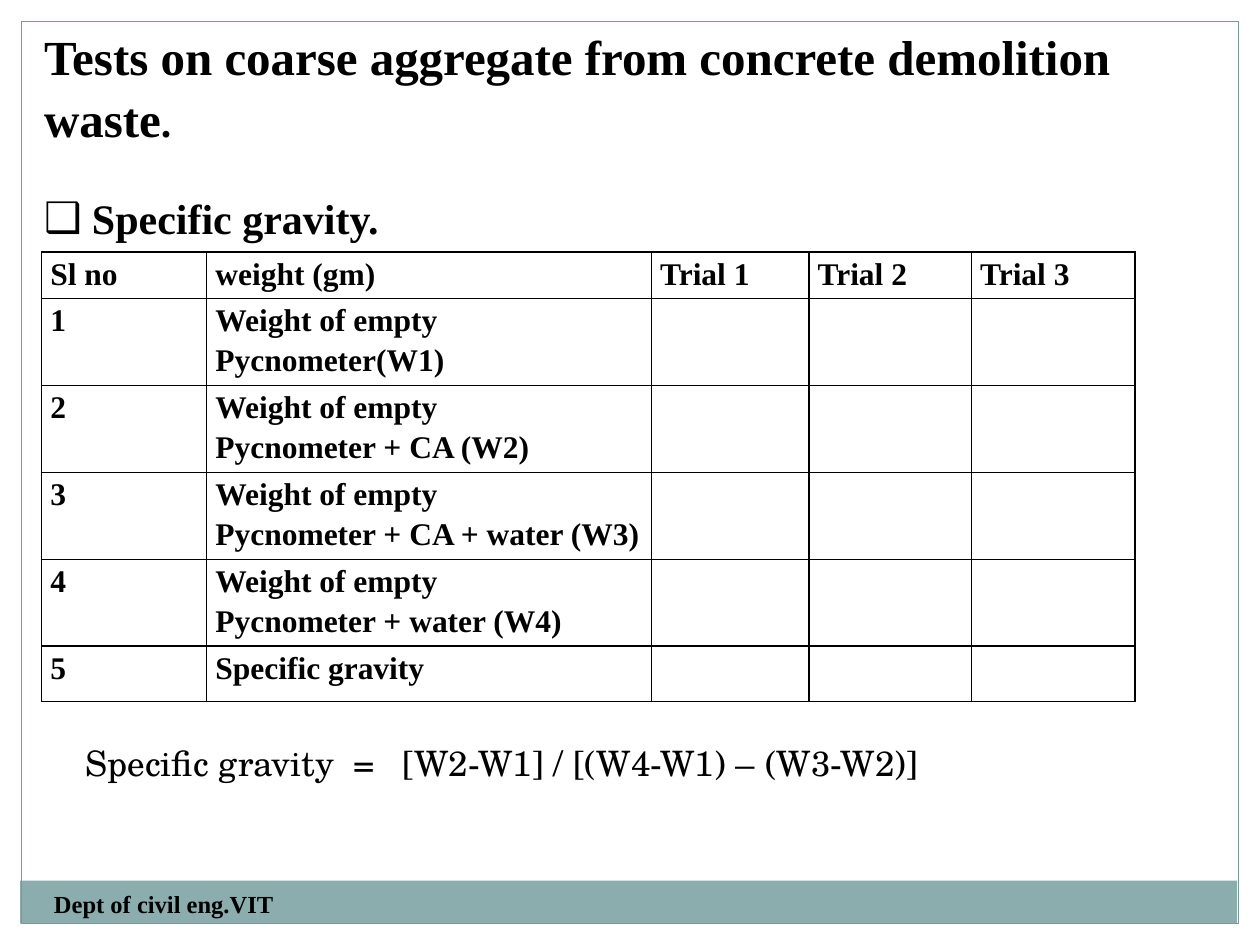
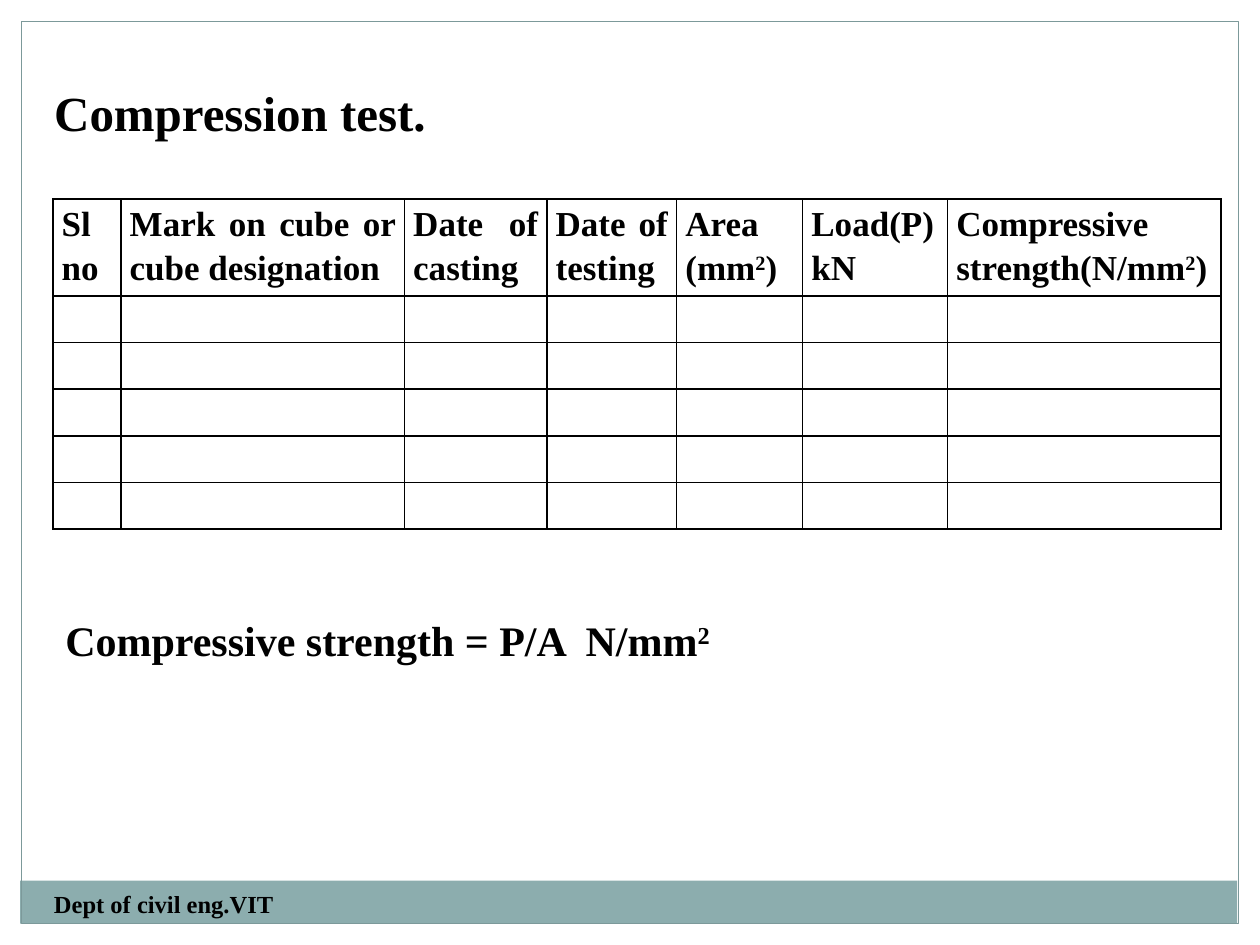
"""Build two slides of laboratory test tables for recycled concrete aggregate."""
import lxml.etree
import pptx
import pptx.dml.color
import pptx.enum.shapes
import pptx.enum.text
import pptx.oxml
import pptx.oxml.ns
import pptx.util

Inches = pptx.util.Inches
Anchor = pptx.enum.text.MSO_ANCHOR
Align = pptx.enum.text.PP_ALIGN
qn = pptx.oxml.ns.qn

SERIF = "Times New Roman"
SCHOLA = "TeX Gyre Schola"
BLACK, WHITE, TEAL, FRAME_LINE = "000000", "FFFFFF", "8CADAE", "7C999A"


def rgb(value):
    """Turn a hex string into a colour."""
    return pptx.dml.color.RGBColor.from_string(value)


def write(paragraph, text, size, font=SERIF, bold=True):
    """Add runs to a paragraph; parts between carets are superscript."""
    for index, part in enumerate(text.split("^")):
        if not part:
            continue
        run = paragraph.add_run()
        run.text = part
        run.font.name = font
        run.font.size = pptx.util.Pt(size)
        run.font.bold = bold
        run.font.color.rgb = rgb(BLACK)
        if index % 2:
            run.font._element.set("baseline", "30000")


tests = [
    {
        "layout": 1,
        "title": [("Tests on coarse aggregate from concrete demolition waste", 28), (".", 24)],
        "title_box": (0.25, 0.14, 9.17, 1.1),
        "title_anchor": Anchor.TOP,
        "subtitle": "Specific gravity.",
        "table_at": (0.33, 2),
        "columns": [1.31, 3.53, 1.25, 1.29, 1.3],
        "rows": [0.37] + [0.69] * 4 + [0.44],
        "size": 18,
        "cells": [
            ["Sl no", "weight (gm)", "Trial 1", "Trial 2", "Trial 3"],
            ["1", "Weight of empty\nPycnometer(W1)"],
            ["2", "Weight of empty\nPycnometer + CA (W2)"],
            ["3", "Weight of empty\nPycnometer + CA + water (W3)"],
            ["4", "Weight of empty\nPycnometer + water (W4)"],
            ["5", "Specific gravity"],
        ],
        "formula": ("Specific gravity\t=\t[W2-W1] / [(W4-W1) – (W3-W2)]", 20, SCHOLA, False),
        "formula_box": (0.58, 5.83, 7.5, 0.44),
        "formula_tabs": [2.13, 2.52],
    },
    {
        "layout": 5,
        "title": [("Compression test.", 28)],
        "title_box": (0.33, 0.59, 7.75, 0.57),
        "title_anchor": Anchor.MIDDLE,
        "subtitle": None,
        "table_at": (0.42, 1.58),
        "columns": [0.54, 2.25, 1.13, 1.03, 1, 1.15, 2.17],
        "rows": [0.77] + [0.37] * 5,
        "size": 20,
        "cells": [
            ["Sl no", "Mark on cube or cube designation", "Date of casting",
             "Date of testing", "Area\n(mm^2^)", "Load(P)\nkN",
             "Compressive strength(N/mm^2^)"],
        ],
        "formula": ("Compressive strength = P/A\tN/mm^2^", 24, SERIF, True),
        "formula_box": (0.42, 4.83, 7.67, 0.5),
        "formula_tabs": [4.13],
    },
]

prs = pptx.Presentation()
prs.slide_width, prs.slide_height = Inches(10), Inches(7.5)
slides = [prs.slides.add_slide(prs.slide_layouts[test["layout"]]) for test in tests]

master_tree = prs.slide_master.element.cSld.spTree
backdrop = [
    ((0, 0, 10, 0.17), WHITE, None),
    ((9.83, 0, 0.17, 7.5), WHITE, None),
    ((0, 0, 0.17, 7.5), WHITE, None),
    ((0.16, 6.99, 9.66, 0.34), TEAL, None),
    ((0.17, 0.17, 9.66, 7.16), None, FRAME_LINE),
]
for number, (box, fill, line) in enumerate(backdrop):
    band = slides[0].shapes.add_shape(
        pptx.enum.shapes.MSO_SHAPE.RECTANGLE, *map(Inches, box))
    band.shadow.inherit = False
    if fill:
        band.fill.solid()
        band.fill.fore_color.rgb = rgb(fill)
    else:
        band.fill.background()
    if line:
        band.line.color.rgb = rgb(line)
        band.line.width = pptx.util.Pt(0.75)
    else:
        band.line.fill.background()
    master_tree.insert(2 + number, band._element)

for slide, test in zip(slides, tests):
    title = slide.shapes.title
    title.left, title.top, title.width, title.height = map(Inches, test["title_box"])
    title.text_frame.auto_size = pptx.enum.text.MSO_AUTO_SIZE.NONE
    title.text_frame.vertical_anchor = test["title_anchor"]
    heading = title.text_frame.paragraphs[0]
    heading.alignment = Align.LEFT
    heading.line_spacing = 1.05
    for text, size in test["title"]:
        write(heading, text, size)

    if test["subtitle"]:
        subtitle = slide.placeholders[1]
        subtitle.left, subtitle.top = Inches(0.25), Inches(1.48)
        subtitle.width, subtitle.height = Inches(9.17), Inches(0.5)
        subtitle.text_frame.auto_size = pptx.enum.text.MSO_AUTO_SIZE.NONE
        item = subtitle.text_frame.paragraphs[0]
        item.space_before = pptx.util.Pt(0)
        properties = item._p.get_or_add_pPr()
        properties.set("marL", str(Inches(0.38)))
        properties.set("indent", str(-Inches(0.38)))
        lxml.etree.SubElement(properties, qn("a:buFont"), typeface="Arial")
        lxml.etree.SubElement(properties, qn("a:buChar"), char="❑")
        write(item, test["subtitle"], 24)

    columns, rows = test["columns"], test["rows"]
    left, top = test["table_at"]
    table = slide.shapes.add_table(
        len(rows), len(columns), Inches(left), Inches(top),
        Inches(sum(columns)), Inches(sum(rows))).table
    table.first_row = table.horz_banding = False
    for column, width in zip(table.columns, columns):
        column.width = Inches(width)
    for row, height in zip(table.rows, rows):
        row.height = Inches(height)
    for cell in table.iter_cells():
        cell.margin_left = cell.margin_right = Inches(0.07)
        cell.margin_top = cell.margin_bottom = 0
        cell.fill.background()
        cell_properties = cell._tc.get_or_add_tcPr()
        for position, side in enumerate(("lnL", "lnR", "lnT", "lnB")):
            border = pptx.oxml.parse_xml(
                f'<a:{side} xmlns:a="http://schemas.openxmlformats.org/drawingml/2006/main" '
                f'w="12700"><a:solidFill><a:srgbClr val="{BLACK}"/></a:solidFill></a:{side}>')
            cell_properties.insert(position, border)
    for row_index, texts in enumerate(test["cells"]):
        for column_index, text in enumerate(texts):
            frame = table.cell(row_index, column_index).text_frame
            for line_index, line in enumerate(text.split("\n")):
                entry = frame.add_paragraph() if line_index else frame.paragraphs[0]
                entry.alignment = Align.JUSTIFY
                entry.line_spacing = 1.15
                write(entry, line, test["size"])

    formula = slide.shapes.add_textbox(*map(Inches, test["formula_box"])).text_frame
    formula.word_wrap = True
    formula.vertical_anchor = Anchor.MIDDLE
    equation = formula.paragraphs[0]
    tab_list = lxml.etree.SubElement(equation._p.get_or_add_pPr(), qn("a:tabLst"))
    for stop in test["formula_tabs"]:
        lxml.etree.SubElement(tab_list, qn("a:tab"), pos=str(Inches(stop)), algn="l")
    write(equation, *test["formula"])

    department = slide.shapes.add_textbox(
        Inches(0.33), Inches(7.01), Inches(3.92), Inches(0.4)).text_frame
    department.word_wrap = True
    write(department.paragraphs[0], "Dept of civil eng.VIT", 14)

prs.save("out.pptx")
